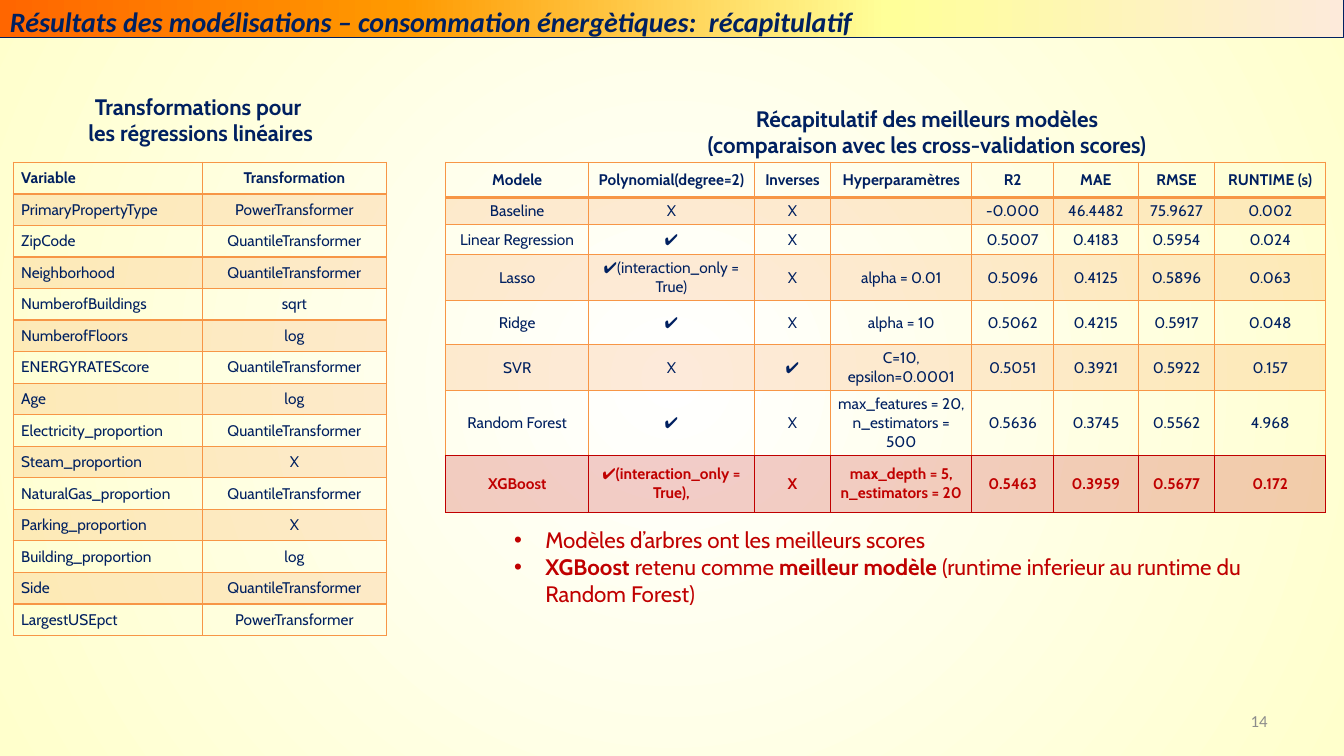
from lxml import etree
from pptx import Presentation
from pptx.dml.color import RGBColor
from pptx.enum.shapes import MSO_SHAPE
from pptx.enum.text import MSO_ANCHOR, PP_ALIGN
from pptx.oxml.ns import qn
from pptx.util import Inches, Pt

NAVY = RGBColor(0x00, 0x20, 0x60)
RED = RGBColor(0xC0, 0x00, 0x00)
ORANGE = RGBColor(0xF7, 0x96, 0x46)
GREY = RGBColor(0x8C, 0x8C, 0x8C)
WHITE = RGBColor(0xFF, 0xFF, 0xFF)
CREAM = RGBColor(0xFF, 0xFF, 0xCC)
BAR = [(0, RGBColor(0xFF, 0x66, 0x00)), (30, RGBColor(0xFF, 0x99, 0x00)),
       (66, RGBColor(0xFF, 0xFF, 0x99)), (100, RGBColor(0xFD, 0xEA, 0xDA))]
LEFT, CENTER, RIGHT = PP_ALIGN.LEFT, PP_ALIGN.CENTER, PP_ALIGN.RIGHT
JUSTIFY = PP_ALIGN.JUSTIFY
TOP, MIDDLE = MSO_ANCHOR.TOP, MSO_ANCHOR.MIDDLE


def add_run(para, text, size, color, bold=False, face="Cabin"):
    run = para.add_run()
    run.text = text
    font = run.font
    font.size, font.bold, font.name = Pt(size), bold, face
    font.color.rgb = color
    return run


def set_stops(root, stops):
    """Give the first gradient under root the listed (percent, colour) stops."""
    grad = root.find(".//" + qn("a:gradFill"))
    stop_list = grad.find(qn("a:gsLst"))
    for old in list(stop_list):
        stop_list.remove(old)
    for pos, color in stops:
        stop = etree.SubElement(stop_list, qn("a:gs"), pos=str(pos * 1000))
        etree.SubElement(stop, qn("a:srgbClr"), val=str(color))
    return grad


prs = Presentation()
prs.slide_width, prs.slide_height = Inches(13.33), Inches(7.5)
slide = prs.slides.add_slide(prs.slide_layouts[6])

# Background: round gradient from the centre
slide.background.fill.gradient()
grad = set_stops(slide._element, [(0, WHITE), (100, CREAM)])
grad.remove(grad.find(qn("a:lin")))
ring = etree.SubElement(grad, qn("a:path"), path="circle")
etree.SubElement(ring, qn("a:fillToRect"), l="50000", t="50000", r="50000", b="50000")

# Title bar
bar = slide.shapes.add_shape(MSO_SHAPE.RECTANGLE, 0, 0, Inches(13.33), Inches(0.37))
bar.shadow.inherit = False
bar.fill.gradient()
bar.fill.gradient_angle = 0
set_stops(bar._element, BAR)
bar.line.color.rgb = NAVY
bar.line.width = Pt(0.75)
frame = bar.text_frame
frame.word_wrap = True
frame.vertical_anchor = TOP
frame.margin_top = Inches(0.07)
para = frame.paragraphs[0]
para.alignment = LEFT
para.line_spacing = 0.95
title = add_run(para, "Résultats des modélisations – consommation énergètiques:  récapitulatif",
                20, NAVY, True, "Calibri")
title.font.italic = True

# Tables
CHANGES = [
    ("Variable", "Transformation"),
    ("PrimaryPropertyType", "PowerTransformer"),
    ("ZipCode", "QuantileTransformer"),
    ("Neighborhood", "QuantileTransformer"),
    ("NumberofBuildings", "sqrt"),
    ("NumberofFloors", "log"),
    ("ENERGYRATEScore", "QuantileTransformer"),
    ("Age", "log"),
    ("Electricity_proportion", "QuantileTransformer"),
    ("Steam_proportion", "X"),
    ("NaturalGas_proportion", "QuantileTransformer"),
    ("Parking_proportion", "X"),
    ("Building_proportion", "log"),
    ("Side", "QuantileTransformer"),
    ("LargestUSEpct", "PowerTransformer"),
]
MODELS = [
    ("Modele", "Polynomial(degree=2)", "Inverses", "Hyperparamètres",
     "R2", "MAE", "RMSE", "RUNTIME (s)"),
    ("Baseline", "X", "X", "", "-0.000", "46.4482", "75.9627", "0.002"),
    ("Linear Regression", "✔", "X", "", "0.5007", "0.4183", "0.5954", "0.024"),
    ("Lasso", "✔(interaction_only = True)", "X", "alpha = 0.01",
     "0.5096", "0.4125", "0.5896", "0.063"),
    ("Ridge", "✔", "X", "alpha = 10", "0.5062", "0.4215", "0.5917", "0.048"),
    ("SVR", "X", "✔", "C=10, epsilon=0.0001", "0.5051", "0.3921", "0.5922", "0.157"),
    ("Random Forest", "✔", "X", "max_features = 20, n_estimators = 500",
     "0.5636", "0.3745", "0.5562", "4.968"),
    ("XGBoost", "✔(interaction_only = True),", "X", "max_depth = 5, n_estimators = 20",
     "0.5463", "0.3959", "0.5677", "0.172"),
]
# left, rows, column widths, row heights, side margin, first column, best row
TABLES = [
    (0.13, CHANGES, [1.88, 1.82], [4.7 / 15] * 15, 0.08, LEFT, None),
    (4.42, MODELS, [1.42, 1.64, 0.76, 1.4, 0.81, 0.84, 0.76, 1.1],
     [0.35, 0.25, 0.3, 0.44, 0.44, 0.44, 0.62, 0.57], 0.07, CENTER, 7),
]
for left, rows, widths, heights, side, first, best in TABLES:
    table = slide.shapes.add_table(len(rows), len(widths), Inches(left), Inches(1.61),
                                   Inches(sum(widths)), Inches(sum(heights))).table
    table.first_row = table.horz_banding = False
    for col, width in zip(table.columns, widths):
        col.width = Inches(width)
    for r, row in enumerate(rows):
        table.rows[r].height = Inches(heights[r])
        win = r == best
        edge = (RED, 0.75) if win else (ORANGE, 1)
        above, below = edge, edge
        if r == 0:
            below = (ORANGE, 2)
        elif r == 1:
            above = (ORANGE, 2)
        elif best is not None and r == best - 1:
            below = (RED, 0.75)
        for c, text in enumerate(row):
            cell = table.cell(r, c)
            cell.vertical_anchor = MIDDLE
            cell.margin_left = cell.margin_right = Inches(side)
            cell.margin_top = cell.margin_bottom = Inches(0.04)
            para = cell.text_frame.paragraphs[0]
            para.alignment = CENTER if c else first
            if text:
                add_run(para, text, 11, RED if win else NAVY, r == 0 or win)
            else:
                para._p.get_or_add_endParaRPr().set("sz", "1100")
            props = cell._tc.get_or_add_tcPr()
            for tag, (color, weight) in zip(("a:lnL", "a:lnR", "a:lnT", "a:lnB"),
                                            (edge, edge, above, below)):
                line = etree.SubElement(props, qn(tag), w=str(Pt(weight)))
                solid = etree.SubElement(line, qn("a:solidFill"))
                etree.SubElement(solid, qn("a:srgbClr"), val=str(color))
            if r % 2:
                cell.fill.solid()
                cell.fill.fore_color.rgb = RED if win else ORANGE
                tint = props.find(qn("a:solidFill")).find(qn("a:srgbClr"))
                etree.SubElement(tint, qn("a:alpha"), val="20000")
            else:
                cell.fill.background()

# Headings, findings and page number: box, anchor, size, colour, face, bullet, paragraphs
TEXTS = [
    ((-0.3, 0.87, 4.58, 0.64), TOP, 16, NAVY, "Cabin", False, [
        (CENTER, [("Transformations pour ", True)]),
        (CENTER, [("les régressions linéaires", True)])]),
    ((6.69, 0.99, 5.01, 0.64), TOP, 16, NAVY, "Cabin", False, [
        (CENTER, [("Récapitulatif des meilleurs modèles", True)]),
        (CENTER, [("(comparaison avec les cross-validation scores)", True)])]),
    ((5, 5.17, 7.57, 1.18), TOP, 16, RED, "Cabin", True, [
        (JUSTIFY, [("Modèles d’arbres ont les meilleurs scores", False)]),
        (LEFT, [("XGBoost", True), (" retenu comme ", False), ("meilleur modèle ", True),
                ("(runtime inferieur au runtime du Random Forest)", False)])]),
    ((9.56, 6.95, 3.11, 0.4), MIDDLE, 12, GREY, "Calibri", False, [
        (RIGHT, [("14", False)])]),
]
for box, anchor, size, color, face, bullet, paras in TEXTS:
    frame = slide.shapes.add_textbox(*map(Inches, box)).text_frame
    frame.word_wrap = True
    frame.vertical_anchor = anchor
    for i, (align, runs) in enumerate(paras):
        para = frame.add_paragraph() if i else frame.paragraphs[0]
        para.alignment = align
        if bullet:
            props = para._p.get_or_add_pPr()
            props.set("marL", str(Inches(0.31)))
            props.set("indent", str(Inches(-0.31)))
            etree.SubElement(props, qn("a:buFont"), typeface="Arial")
            etree.SubElement(props, qn("a:buChar"), char="•")
        for text, bold in runs:
            add_run(para, text, size, color, bold, face)

prs.save("out.pptx")
